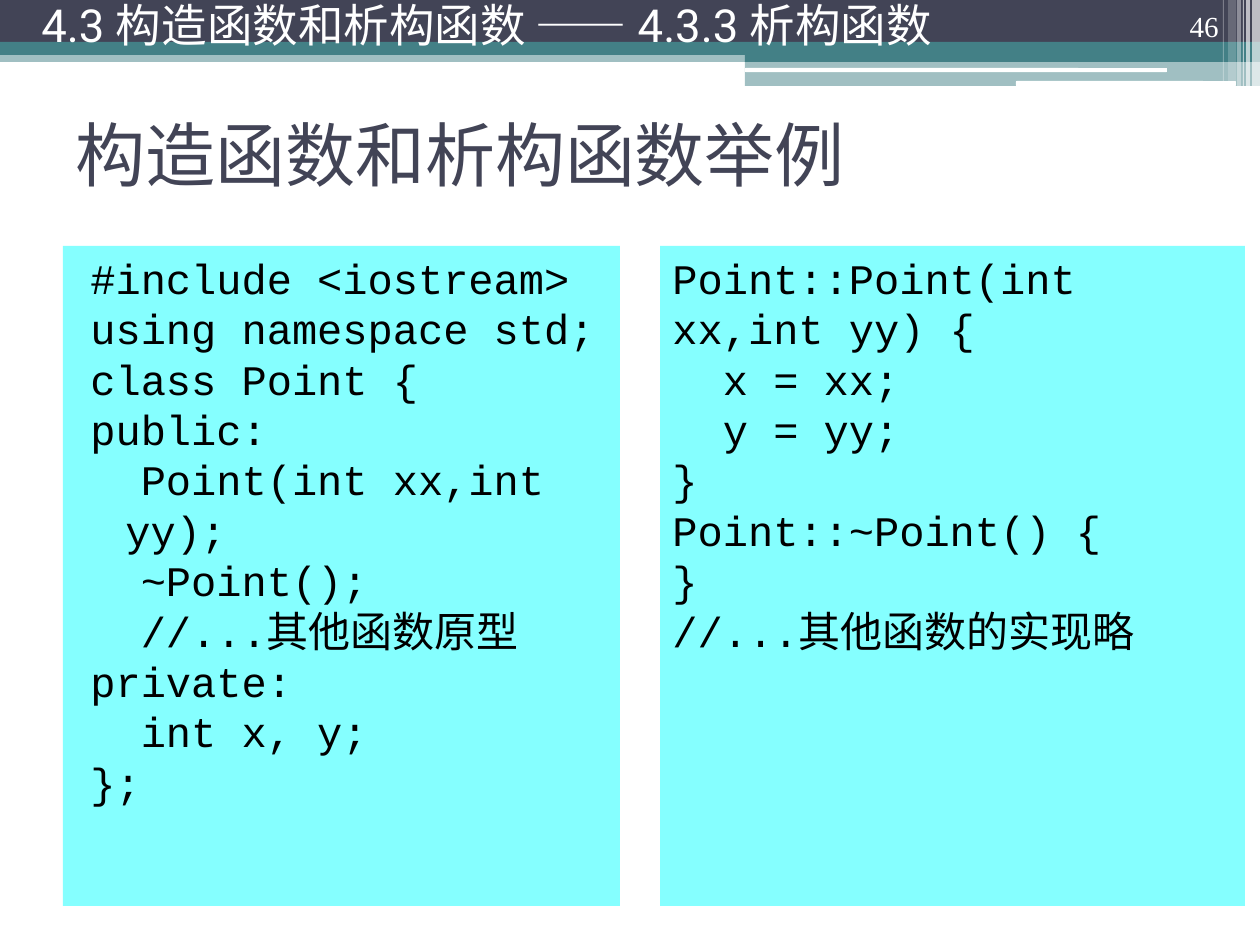
from pptx import Presentation
from pptx.dml.color import RGBColor
from pptx.enum.shapes import MSO_SHAPE as SHAPE
from pptx.enum.text import MSO_ANCHOR as ANCHOR, PP_ALIGN as ALIGN
from pptx.oxml.ns import qn
from pptx.util import Emu, Pt

PX = 914400 / 126
NAVY, TEAL, WHITE, CYAN, BLACK = "424456", "438086", "FFFFFF", "85FFFF", "000000"

BANDS = [  # left, top, width, height, colour, opacity in percent
    (0, 50, 1260, 12, TEAL, 50),
    (0, 0, 1260, 42, NAVY, 100),
    (0, 42, 1260, 13, TEAL, 100),
    (745, 49, 515, 13, TEAL, 100),
    (745, 61, 515, 25, TEAL, 50),
]
BARS = [(745, 68, 422, 4), (1016, 81, 220, 5)]
STRIPES = [  # left, width, height, opacity in percent
    (1252, 8, 86, 65),
    (1246, 4, 86, 65),
    (1243, 1, 86, 60),
    (1237, 4, 86, 40),
    (1228, 8, 81, 20),
    (1223, 1, 81, 30),
]

DECLARATION = """#include <iostream>
using namespace std;
class Point {
public:
  Point(int xx,int yy);
  ~Point();
  //...其他函数原型
private:
  int x, y;
};"""
DEFINITION = """Point::Point(int xx,int yy) {
  x = xx;
  y = yy;
}
Point::~Point() {
}
//...其他函数的实现略"""


def px(n):
    return Emu(round(n * PX))


def rgb(color):
    return RGBColor.from_string(color)


class Deck:
    def __init__(self):
        self.prs = Presentation()
        self.prs.slide_width, self.prs.slide_height = px(1260), px(945)
        self.s = self.prs.slides.add_slide(self.prs.slide_layouts[5])

    def shape(self, box, color, opacity=100, kind=SHAPE.RECTANGLE):
        sp = self.s.shapes.add_shape(kind, *map(px, box))
        sp.shadow.inherit = False
        sp.fill.solid()
        sp.fill.fore_color.rgb = rgb(color)
        sp.line.fill.background()
        if opacity < 100:
            clr = sp._element.spPr.find(".//" + qn("a:srgbClr"))
            clr.append(clr.makeelement(qn("a:alpha"), {"val": str(opacity * 1000)}))
        return sp

    def set_text(self, sp, text, size, font, color, anchor, align=ALIGN.LEFT,
                 spacing=None, hanging=None):
        """Fill a shape with text; hanging is (left margin, first-line indent) in px."""
        tf = sp.text_frame
        tf.word_wrap = True
        tf.vertical_anchor = anchor
        tf.text = text
        for p in tf.paragraphs:
            p.alignment = align
            p.line_spacing = spacing
            if hanging:
                pPr = p._p.get_or_add_pPr()
                for name, n in zip(("marL", "indent"), hanging):
                    pPr.set(name, str(px(n)))
            for r in p.runs:
                r.font.size, r.font.name = Pt(size), font
                r.font.color.rgb = rgb(color)

    def title(self, box, text):
        sp = self.s.shapes.title
        sp.left, sp.top, sp.width, sp.height = map(px, box)
        self.set_text(sp, text, 40, "Roboto", NAVY, ANCHOR.MIDDLE)

    def label(self, box, text, size, font, anchor, **style):
        sp = self.s.shapes.add_textbox(*map(px, box))
        self.set_text(sp, text, size, font, WHITE, anchor, **style)

    def code(self, box, text, hanging=None):
        sp = self.shape(box, CYAN)
        self.set_text(sp, text, 24, "Courier New", BLACK, ANCHOR.TOP, hanging=hanging)


def main():
    deck = Deck()
    for *box, color, opacity in BANDS:
        deck.shape(box, color, opacity)
    for box in BARS:
        deck.shape(box, WHITE, kind=SHAPE.ROUNDED_RECTANGLE)
    for left, width, height, opacity in STRIPES:
        deck.shape((left, 0, width, height), WHITE, opacity)

    deck.title((63, 80, 1134, 147), "构造函数和析构函数举例")
    deck.code((63, 246, 557, 660), DECLARATION, hanging=(50, -35))
    deck.label((1126, 0, 105, 50), "46", 16.6, "Times New Roman", ANCHOR.BOTTOM,
               align=ALIGN.RIGHT, spacing=0.9)
    deck.label((29, 0, 1063, 59), "4.3 构造函数和析构函数 —— 4.3.3 析构函数", 26,
               "Roboto", ANCHOR.MIDDLE, spacing=0.8)
    deck.code((660, 246, 585, 660), DEFINITION)
    deck.prs.save("out.pptx")


if __name__ == "__main__":
    main()
